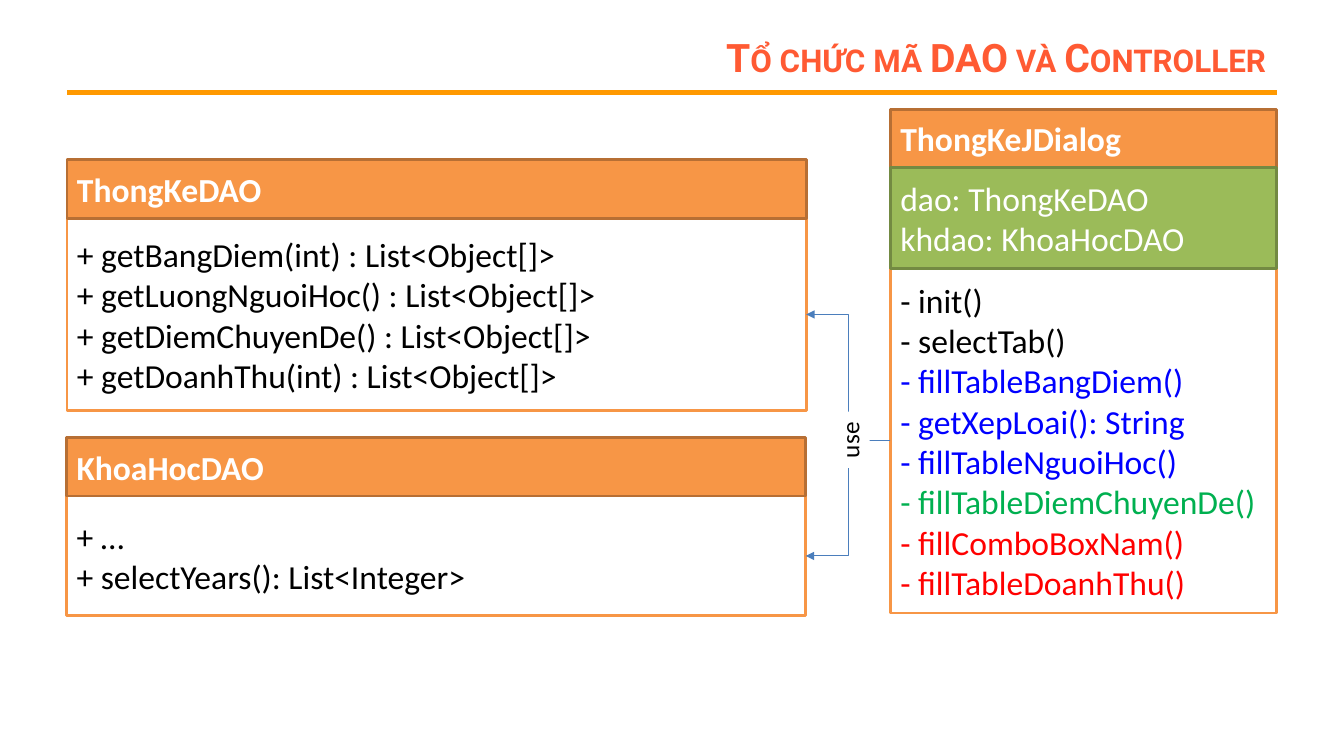
from lxml import etree
from pptx import Presentation
from pptx.dml.color import RGBColor
from pptx.enum.shapes import MSO_CONNECTOR as CONN, MSO_SHAPE as SHAPE
from pptx.enum.text import MSO_ANCHOR as ANCHOR, MSO_AUTO_SIZE as AUTO, PP_ALIGN as ALIGN
from pptx.oxml.ns import qn
from pptx.util import Cm, Pt

WHITE = RGBColor(0xFF, 0xFF, 0xFF)
BLACK = RGBColor(0x00, 0x00, 0x00)
ORANGE = RGBColor(0xF7, 0x96, 0x46)
DARK_ORANGE = RGBColor(0xB7, 0x6F, 0x34)
OLIVE = RGBColor(0x9B, 0xBB, 0x59)
DARK_OLIVE = RGBColor(0x73, 0x8A, 0x42)
RULE = RGBColor(0xFF, 0x99, 0x00)
TITLE = RGBColor(0xFF, 0x5A, 0x33)
ARROW = RGBColor(0x4B, 0x7E, 0xBC)
BLUE = RGBColor(0x00, 0x00, 0xFF)
GREEN = RGBColor(0x00, 0xB0, 0x50)
RED = RGBColor(0xFF, 0x00, 0x00)


class ClassDiagram:
    font = "Calibri"
    size = 24
    header_height = 1.48

    def __init__(self, slide):
        self.shapes = slide.shapes

    def set_lines(self, tf, lines, size=None, font=None, bold=False, align=ALIGN.LEFT):
        """Fill a text frame with (text, colour) lines."""
        tf.text = "\n".join(text for text, _ in lines)
        for p, (_, color) in zip(tf.paragraphs, lines):
            p.alignment = align
            for r in p.runs:
                r.font.name = font or self.font
                r.font.size = Pt(size or self.size)
                r.font.bold = bold
                r.font.color.rgb = color

    def title(self, text, x, y, w, h):
        tf = self.shapes.add_textbox(Cm(x), Cm(y), Cm(w), Cm(h)).text_frame
        tf.word_wrap = True
        tf.vertical_anchor = ANCHOR.MIDDLE
        self.set_lines(tf, [(text, TITLE)], 28, "Roboto", True, ALIGN.RIGHT)
        tf.paragraphs[0].runs[0].font._element.set("cap", "small")

    def connector(self, kind, start, end, color, width):
        c = self.shapes.add_connector(kind, *map(Cm, start + end))
        c.line.color.rgb = color
        c.line.width = Pt(width)
        etree.SubElement(c._element.spPr, qn("a:effectLst"))
        return c

    def box(self, x, y, w, h, lines, fill, border, bold=False):
        sp = self.shapes.add_shape(SHAPE.RECTANGLE, Cm(x), Cm(y), Cm(w), Cm(h))
        sp.shadow.inherit = False
        sp.fill.solid()
        sp.fill.fore_color.rgb = fill
        sp.line.color.rgb = border
        sp.line.width = Pt(2)
        sp.text_frame.word_wrap = True
        sp.text_frame.vertical_anchor = ANCHOR.MIDDLE
        self.set_lines(sp.text_frame, lines, bold=bold)
        return sp

    def uml_class(self, x, y, w, name, methods, body_height, fields=(), fields_height=0):
        """Stack header, fields and methods; return the methods box."""
        fields_top = y + self.header_height
        body = self.box(x, fields_top + fields_height, w, body_height, methods, WHITE, ORANGE)
        self.box(x, y, w, self.header_height, [(name, WHITE)], ORANGE, DARK_ORANGE, True)
        if fields:
            self.box(x, fields_top, w, fields_height, fields, OLIVE, DARK_OLIVE)
        return body

    def uses(self, user, used):
        c = self.connector(CONN.ELBOW, (22.44, 11.11), (20.32, 11.11), ARROW, 0.75)
        c.begin_connect(user, 1)
        c.end_connect(used, 3)
        etree.SubElement(c.line._get_or_add_ln(), qn("a:tailEnd"), type="triangle")

    def label(self, text, x, y, w, h):
        sp = self.shapes.add_textbox(Cm(x), Cm(y), Cm(w), Cm(h))
        sp.rotation = 270
        sp.fill.solid()
        sp.fill.fore_color.rgb = WHITE
        sp.text_frame.word_wrap = False
        sp.text_frame.auto_size = AUTO.SHAPE_TO_FIT_TEXT
        self.set_lines(sp.text_frame, [(text, BLACK)], 18)


def main():
    prs = Presentation()
    prs.slide_width, prs.slide_height = Cm(33.87), Cm(19.05)
    d = ClassDiagram(prs.slides.add_slide(prs.slide_layouts[6]))

    # Title and rule
    d.connector(CONN.STRAIGHT, (1.69, 2.33), (32.18, 2.33), RULE, 3)
    d.title("Tổ chức mã DAO và Controller", 6.2, 0.76, 25.96, 1.35)

    # DAO classes
    statistics = d.uml_class(1.69, 4.02, 18.63, "ThongKeDAO", [
        ("+ getBangDiem(int) : List<Object[]>", BLACK),
        ("+ getLuongNguoiHoc() : List<Object[]>", BLACK),
        ("+ getDiemChuyenDe() : List<Object[]>", BLACK),
        ("+ getDoanhThu(int) : List<Object[]>", BLACK),
    ], 4.85)
    courses = d.uml_class(1.68, 11.02, 18.63, "KhoaHocDAO", [
        ("+ …", BLACK),
        ("+ selectYears(): List<Integer>", BLACK),
    ], 3.02)

    # Controller class
    dialog = d.uml_class(22.44, 2.75, 9.74, "ThongKeJDialog", [
        ("- init()", BLACK),
        ("- selectTab()", BLACK),
        ("- fillTableBangDiem()", BLUE),
        ("- getXepLoai(): String", BLUE),
        ("- fillTableNguoiHoc()", BLUE),
        ("- fillTableDiemChuyenDe()", GREEN),
        ("- fillComboBoxNam()", RED),
        ("- fillTableDoanhThu()", RED),
    ], 8.68, [("dao: ThongKeDAO", WHITE), ("khdao: KhoaHocDAO", WHITE)], 2.54)

    # Dependencies
    for dao in (statistics, courses):
        d.uses(dialog, dao)
    d.label("use", 20.7, 10.57, 1.42, 1.02)

    prs.save("out.pptx")


if __name__ == "__main__":
    main()
